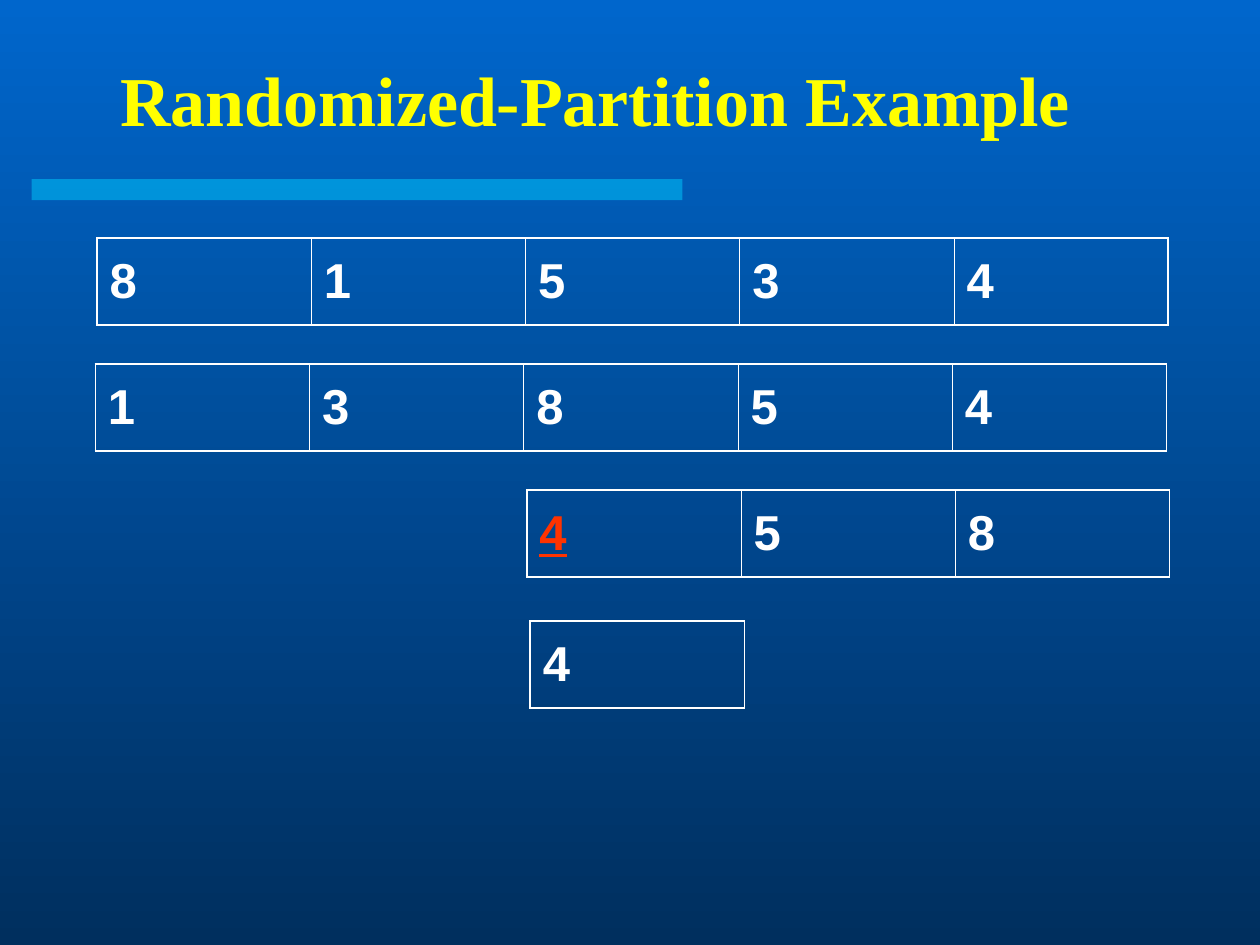
from lxml.etree import SubElement
from pptx import Presentation
from pptx.dml.color import RGBColor
from pptx.enum.shapes import MSO_SHAPE
from pptx.enum.text import MSO_ANCHOR, PP_ALIGN
from pptx.oxml import parse_xml
from pptx.oxml.ns import nsdecls, qn
from pptx.util import Pt

# Content
TITLE = "Randomized-Partition Example"
ROWS = [  # left, top, values
    (55.5, 136, "81534"),
    (54.5, 208, "13854"),
    (301, 280, "458"),
    (303, 355, "4"),
]
PIVOT = (2, 0)  # row, column

COLORS = {
    "top": "0066CC",
    "base": "002F5E",
    "bar": "00CCFF",
    "title": "FFFF00",
    "text": "FFFFFF",
    "pivot": "FF3300",
}
CELL_W, CELL_H = 122.4, 49.7
OUTER, INNER = 1.08, 0.45


def tint(name):
    return RGBColor.from_string(COLORS[name])


def add_run(para, text, font, size, color, line=False):
    run = para.add_run()
    run.text = text
    run.font.name = font
    run.font.size = Pt(size)
    run.font.bold = True
    run.font.underline = line
    run.font.color.rgb = tint(color)


def set_edges(cell, first, last):
    widths = {
        "L": OUTER if first else INNER,
        "R": OUTER if last else INNER,
        "T": OUTER,
        "B": OUTER,
    }
    props = cell._tc.get_or_add_tcPr()
    for spot, (side, width) in enumerate(widths.items()):
        edge = parse_xml(
            f'<a:ln{side} {nsdecls("a")} w="{Pt(width)}"><a:solidFill>'
            f'<a:srgbClr val="{COLORS["text"]}"/></a:solidFill></a:ln{side}>'
        )
        props.insert(spot, edge)


def add_row(slide, index, left, top, values):
    count = len(values)
    frame = slide.shapes.add_table(
        1, count, Pt(left), Pt(top), Pt(CELL_W * count), Pt(CELL_H)
    )
    table = frame.table
    table.first_row = table.horz_banding = False
    for col, value in enumerate(values):
        table.columns[col].width = Pt(CELL_W)
        cell = table.cell(0, col)
        cell.fill.background()
        cell.vertical_anchor = MSO_ANCHOR.MIDDLE
        set_edges(cell, col == 0, col == count - 1)
        hit = (index, col) == PIVOT
        para = cell.text_frame.paragraphs[0]
        add_run(para, value, "Arial", 28, "pivot" if hit else "text", hit)


def main():
    deck = Presentation()
    deck.slide_width, deck.slide_height = Pt(720), Pt(540)
    slide = deck.slides.add_slide(deck.slide_layouts[6])

    # Background, dark at the foot
    fill = slide.background.fill
    fill.gradient()
    fill.gradient_angle = 270
    for stop, name, place in zip(fill.gradient_stops, ("top", "base"), (0, 1)):
        stop.color.rgb = tint(name)
        stop.position = place

    # Half-clear bar under the title
    bar = slide.shapes.add_shape(
        MSO_SHAPE.RECTANGLE, Pt(18), Pt(102.4), Pt(372), Pt(12)
    )
    bar.shadow.inherit = False
    bar.line.fill.background()
    bar.fill.solid()
    bar.fill.fore_color.rgb = tint("bar")
    shade = bar.fill._xPr.find(".//" + qn("a:srgbClr"))
    SubElement(shade, qn("a:alpha")).set("val", "50000")

    # Title
    box = slide.shapes.add_textbox(Pt(21), Pt(23), Pt(638), Pt(67))
    frame = box.text_frame
    frame.word_wrap = True
    frame.vertical_anchor = MSO_ANCHOR.MIDDLE
    para = frame.paragraphs[0]
    para.alignment = PP_ALIGN.CENTER
    add_run(para, TITLE, "Times New Roman", 40, "title")

    # Number rows
    for index, row in enumerate(ROWS):
        add_row(slide, index, *row)

    deck.save("out.pptx")


if __name__ == "__main__":
    main()
